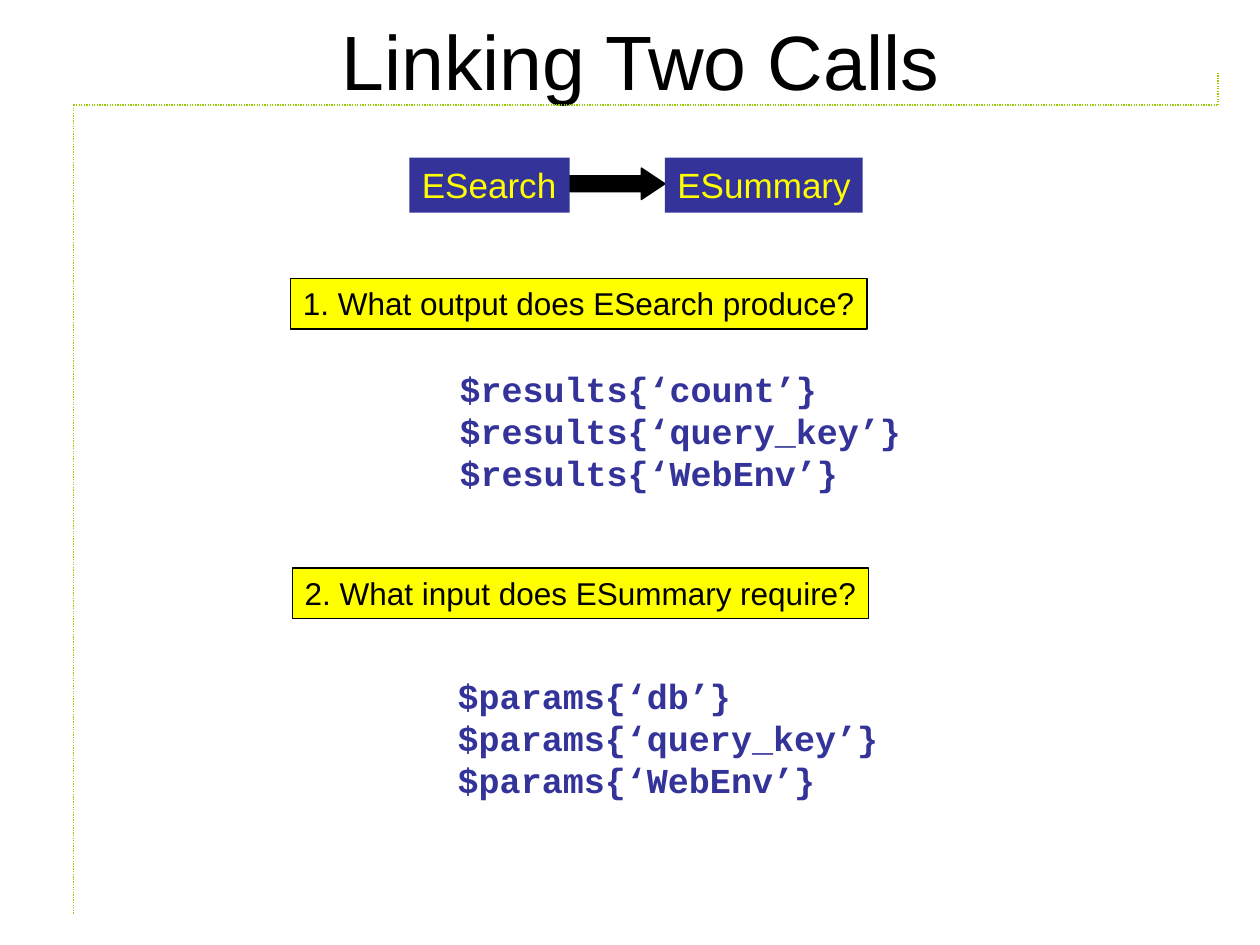
from pptx import Presentation
from pptx.dml.color import RGBColor
from pptx.enum.dml import MSO_LINE
from pptx.enum.shapes import MSO_CONNECTOR, MSO_SHAPE
from pptx.enum.text import MSO_ANCHOR, MSO_AUTO_SIZE, PP_ALIGN
from pptx.oxml.ns import qn
from pptx.util import Pt
from lxml import etree

BLACK, NAVY, YELLOW, GREEN = "000000", "333399", "FFFF00", "99CC00"
TITLE = dict(name="Arial", size=Pt(44), bold=False)
STEP = dict(name="Arial", size=Pt(20), bold=False)
QUESTION = dict(name="Arial", size=Pt(18), bold=False)
CODE = dict(name="Courier New", size=Pt(20), bold=True)


def rgb(color):
    return RGBColor.from_string(color)


def write(shape, lines, font, color, align=PP_ALIGN.LEFT, anchor=MSO_ANCHOR.TOP, wrap=False):
    tf = shape.text_frame
    frame = dict(word_wrap=wrap, auto_size=MSO_AUTO_SIZE.NONE, vertical_anchor=anchor,
                 margin_left=Pt(7.2), margin_right=Pt(7.2),
                 margin_top=Pt(3.6), margin_bottom=Pt(3.6))
    for key, value in frame.items():
        setattr(tf, key, value)
    for i, line in enumerate(lines):
        p = tf.paragraphs[0] if i == 0 else tf.add_paragraph()
        p.alignment = align
        r = p.add_run()
        r.text = line
        for key, value in font.items():
            setattr(r.font, key, value)
        r.font.color.rgb = rgb(color)


def add_block(s, kind, box, fill, line=None):
    sp = s.shapes.add_shape(kind, *map(Pt, box))
    sp.shadow.inherit = False
    sp.fill.solid()
    sp.fill.fore_color.rgb = rgb(fill)
    if line:
        sp.line.color.rgb = rgb(line)
        sp.line.width = Pt(0.75)
    else:
        sp.line.fill.background()
    return sp


def add_frame(s, left, top, width, height):
    """Dotted rule under the title, with a long left leg and a short right tick."""
    right, bottom, tick = left + width, top + height, 18
    for ends in ((left, top, left, bottom),
                 (right, top, right, top - tick),
                 (left, top, right, top)):
        c = s.shapes.add_connector(MSO_CONNECTOR.STRAIGHT, *map(Pt, ends))
        c.line.color.rgb = rgb(GREEN)
        c.line.width = Pt(0.75)
        c.line.dash_style = MSO_LINE.ROUND_DOT
        etree.SubElement(c._element.spPr, qn("a:effectLst"))


def add_title(s, text, left, top, width, height):
    sp = s.shapes.title
    for key, value in dict(left=left, top=top, width=width, height=height).items():
        setattr(sp, key, Pt(value))
    write(sp, [text], TITLE, BLACK, PP_ALIGN.CENTER, MSO_ANCHOR.MIDDLE, wrap=True)


def add_flow(s, left, top, height, first, second, gap):
    """Two labelled steps, each a (text, width) pair, joined by a block arrow."""
    arrow_left = left + first[1]
    arrow = add_block(s, MSO_SHAPE.RIGHT_ARROW, (arrow_left, top + 6, gap, 18), BLACK, BLACK)
    arrow.adjustments[0], arrow.adjustments[1] = 0.5, 0.75
    for (text, width), x in ((first, left), (second, arrow_left + gap)):
        sp = add_block(s, MSO_SHAPE.RECTANGLE, (x, top, width, height), NAVY)
        write(sp, [text], STEP, YELLOW)


def add_question(s, text, left, top, width, height):
    sp = add_block(s, MSO_SHAPE.RECTANGLE, (left, top, width, height), YELLOW, BLACK)
    write(sp, [text], QUESTION, BLACK)


def add_code(s, variable, keys, left, top, width, height):
    sp = s.shapes.add_textbox(*map(Pt, (left, top, width, height)))
    write(sp, [f"${variable}{{‘{key}’}}" for key in keys], CODE, NAVY)


def main():
    prs = Presentation()
    prs.slide_width, prs.slide_height = Pt(720), Pt(540)
    s = prs.slides.add_slide(prs.slide_layouts[5])

    add_frame(s, 42, 60, 654, 462)
    add_title(s, "Linking Two Calls", 42, 0, 648, 68.4)
    add_flow(s, 234, 90, 31.5, ("ESearch", 91.5), ("ESummary", 113), gap=54.5)

    # Output of the first call
    add_question(s, "1. What output does ESearch produce?", 166, 159, 329.5, 29)
    add_code(s, "results", ("count", "query_key", "WebEnv"), 255.5, 206.5, 267, 79)

    # Input of the second call
    add_question(s, "2. What input does ESummary require?", 167, 324.5, 329.5, 29)
    add_code(s, "params", ("db", "query_key", "WebEnv"), 254.5, 382, 255, 79)

    prs.save("out.pptx")


if __name__ == "__main__":
    main()
